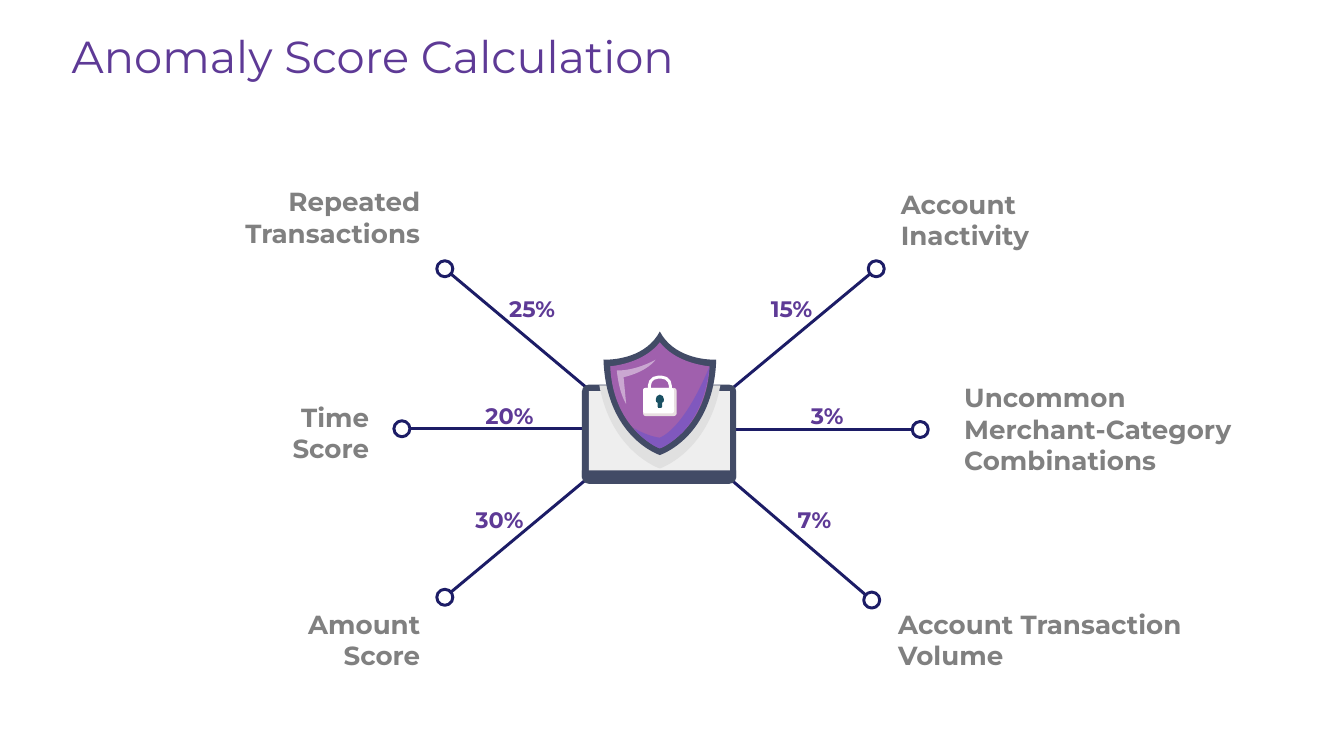
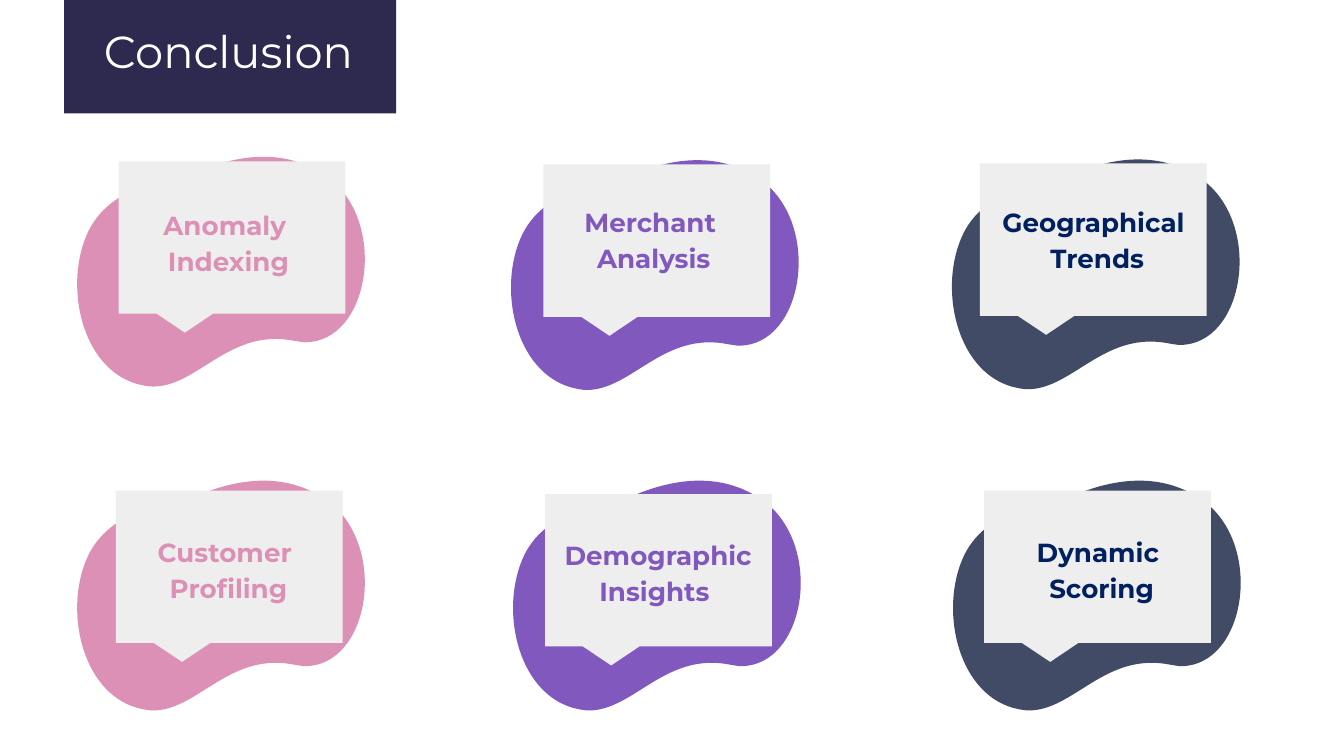
import pptx
import pptx.util
import pptx.dml.color
import pptx.enum.shapes
import pptx.enum.text
import pptx.oxml.ns
import lxml.etree

Pt = pptx.util.Pt
qn = pptx.oxml.ns.qn
SHAPE = pptx.enum.shapes.MSO_SHAPE
ALIGN = pptx.enum.text.PP_ALIGN

FONT = "Montserrat"
PURPLE, VIOLET, PINK, SLATE = "5E3A96", "8058BE", "DD90B6", "424B66"
NAVY, DEEP_BLUE, BAND = "1C1C66", "002060", "2E294E"
GREY, LIGHT, WHITE = "808080", "EEEEEE", "FFFFFF"
LINE_WIDTH = 1.6
NODE_SIZE = 8.6
SHIELD_TIP = (353.5, 177.6)

# Outlines: a start point, then lines (x, y) and curves (two controls and an end).
BLOB = [
    (107.3, 0),
    (85, 0, 64.8, 11.5, 64.8, 11.5),
    (64.8, 11.5, 27.4, 12.2, 13.7, 39.6),
    (0, 67.7, 9.4, 113, 39.6, 121.7),
    (42.5, 122.4, 45.4, 123.1, 48.2, 123.1),
    (69.8, 123.1, 85.7, 97.6, 113.8, 97.6),
    (117.4, 97.6, 120.2, 97.9, 123.8, 98.6),
    (126, 98.9, 128.2, 99.4, 129.6, 99.4),
    (164.2, 99.4, 174.2, 36, 142.6, 11.5),
    (131, 2.9, 118.8, 0, 107.3, 0),
]
# Left halves, from the shield's axis or top edge down to the axis.
SHIELD_SHADOW = [(-32.4, 28.8), (-25.9, 64.8, 0, 73.4, 0, 73.4)]
SHIELD_FRAME = [
    (0, 0),
    (-7.2, 13.7, -23.8, 15.1, -28.8, 15.1),
    (-30.2, 15.1),
    (-28.8, 56.9, 0, 66.2, 0, 66.2),
]
SHIELD_FACE = [
    (0, 5.8),
    (-7.9, 15.8, -20.9, 18, -26.6, 18.7),
    (-25.9, 33.1, -20.9, 45.4, -12.2, 54),
    (-7.2, 59, -2.2, 61.9, 0, 62.6),
]
KEYHOLE = [
    (0, 33.8),
    (-1.4, 33.8, -2.2, 35.3, -2.2, 36.4),
    (-2.2, 37.4, -2, 38.2, -1.2, 38.2),
    (-1.2, 40.3),
    (-1.2, 41, -0.7, 41, 0, 41),
]
SHIELD_SHADE = [
    (26.6, 18.7),
    (26.6, 18.7, 14.4, 50.4, 0, 56.9),
    (0, 56.9, -6.5, 56.2, -13.7, 51.8),
    (-12.2, 54),
    (-7.2, 59, -2.2, 61.9, 0, 62.6),
    (2.2, 61.9, 7.2, 59, 12.2, 54),
    (20.2, 45.4, 25.2, 33.1, 26.6, 18.7),
]
SHIELD_GLOSS = [
    (-2.2, 15.1),
    (-2.2, 15.1, -12.2, 20.9, -22.3, 20.9),
    (-23, 20.9),
    (-23, 20.9, -22.3, 31.7, -18, 38.9),
    (-19.4, 24.5),
    (-19.4, 24.5, -7.9, 22.3, -2.2, 15.1),
]

# Label, its box, alignment, weight, weight position, node centre, hub end.
SPOKES = [
    ("Repeated Transactions", (118.4, 92.2, 113.8, 43.2), ALIGN.RIGHT,
     "25%", (264.2, 150.8), (238.3, 144), (313.9, 207.4)),
    ("Time Score", (134.3, 207.7, 70.6, 43.9), ALIGN.RIGHT,
     "20%", (252, 208.1), (215.3, 229.7), (314.6, 229.7)),
    ("Amount Score", (135.8, 318.6, 96.5, 57.6), ALIGN.RIGHT,
     "30%", (246.7, 263.9), (238.3, 320), (313.9, 257)),
    ("Account Inactivity", (475.5, 93.6, 87.1, 40.3), ALIGN.LEFT,
     "15%", (403.2, 150.8), (469.4, 144), (393.1, 207.4)),
    ("Uncommon Merchant-Category Combinations", (509.4, 197.3, 171.4, 62.6), ALIGN.LEFT,
     "3%", (422.2, 208.1), (493, 230.1), (393.8, 230.1)),
    ("Account Transaction Volume", (474.1, 318.6, 176.4, 60.5), ALIGN.LEFT,
     "7%", (415.4, 263.9), (467, 321.5), (391.3, 256.7)),
]

# Text, blob colour, text colour, blob corner, callout corner, text left, top, width.
CARDS = [
    ("Anomaly \nIndexing", PINK, PINK, (33.8, 84), (63.6, 86.4), (65.5, 106.2, 113.8)),
    ("Merchant \nAnalysis", VIOLET, VIOLET, (266.2, 85.8), (291.1, 88.1), (261.4, 104.4, 177.8)),
    ("Geographical \nTrends", SLATE, DEEP_BLUE, (502.4, 85.4), (525, 87.6), (504.7, 104.4, 166.3)),
    ("Customer \nProfiling", PINK, PINK, (33.8, 257.5), (62.1, 262.8), (40.3, 281.5, 164.2)),
    ("Demographic\nInsights ", VIOLET, VIOLET, (267.3, 257.5), (292, 264.7), (268.4, 283, 168.5)),
    ("Dynamic \nScoring", SLATE, DEEP_BLUE, (503, 257.5), (527.2, 262.8), (514.6, 281.5, 151.2)),
]


def rgb(color):
    return pptx.dml.color.RGBColor.from_string(color)


def paint(shape, fill=None, line=None, width=LINE_WIDTH):
    shape.shadow.inherit = False
    if fill:
        shape.fill.solid()
        shape.fill.fore_color.rgb = rgb(fill)
    else:
        shape.fill.background()
    if line:
        shape.line.color.rgb = rgb(line)
        shape.line.width = Pt(width)
    else:
        shape.line.fill.background()


def add_preset(slide, kind, box, fill=None, line=None, adjustments=()):
    shape = slide.shapes.add_shape(kind, *map(Pt, box))
    for index, value in enumerate(adjustments):
        shape.adjustments[index] = value
    paint(shape, fill, line)
    return shape


def pairs(segment):
    return list(zip(segment[::2], segment[1::2]))


def mirror(outline):
    """Complete a left half with its reflection across x = 0."""
    segments = []
    for before, segment in reversed(list(zip(outline, outline[1:]))):
        points = pairs(segment)[-2::-1] + [before[-2:]]
        segments.append(tuple(n for x, y in points for n in (-x, y)))
    return outline + segments


def add_outline(slide, outline, origin, fill):
    placed = [(Pt(origin[0] + x), Pt(origin[1] + y))
              for segment in outline for x, y in pairs(segment)]
    builder = slide.shapes.build_freeform(*placed[0])
    builder.add_line_segments(placed[1:], close=True)
    shape = builder.convert_to_shape()
    lines = iter(list(shape.element.iter(qn("a:lnTo"))))
    for segment in outline[1:]:
        first = next(lines)
        if len(segment) == 6:
            first.tag = qn("a:cubicBezTo")
            for line in (next(lines), next(lines)):
                first.append(line[0])
                line.getparent().remove(line)
    paint(shape, fill)
    return shape


def set_opacity(shape, percent):
    color = shape.element.spPr.find(qn("a:solidFill"))[0]
    alpha = lxml.etree.SubElement(color, qn("a:alpha"))
    alpha.set("val", str(percent * 1000))


def add_rod(slide, start, end):
    rod = slide.shapes.add_connector(
        pptx.enum.shapes.MSO_CONNECTOR.STRAIGHT, *map(Pt, start + end))
    rod.line.color.rgb = rgb(NAVY)
    rod.line.width = Pt(LINE_WIDTH)
    lxml.etree.SubElement(rod.element.spPr, qn("a:effectLst"))


def write_text(shape, text, size, color, bold=False, align=ALIGN.LEFT,
               inset=7.2, spacing=None):
    frame = shape.text_frame
    frame.word_wrap = True
    frame.auto_size = pptx.enum.text.MSO_AUTO_SIZE.NONE
    frame.vertical_anchor = pptx.enum.text.MSO_ANCHOR.TOP
    frame.margin_left = frame.margin_right = Pt(7.2)
    frame.margin_top = frame.margin_bottom = Pt(inset)
    paragraph = frame.paragraphs[0]
    paragraph.text = text
    paragraph.alignment = align
    paragraph.line_spacing = spacing
    for run in paragraph.runs:
        run.font.name = FONT
        run.font.size = Pt(size)
        run.font.bold = bold
        run.font.color.rgb = rgb(color)


def add_label(slide, box, text, size, color, **style):
    label = slide.shapes.add_textbox(*map(Pt, box))
    write_text(label, text, size, color, bold=True, **style)


def add_titled_slide(presentation, text, box, color):
    slide = presentation.slides.add_slide(presentation.slide_layouts[5])
    title = slide.shapes.title
    title.left, title.top, title.width, title.height = map(Pt, box)
    write_text(title, text, 24, color)
    return slide


def add_laptop(slide):
    add_preset(slide, SHAPE.ROUND_2_SAME_RECTANGLE, (311.8, 206.1, 82.6, 50.2),
               SLATE, adjustments=(0.07, 0))
    add_preset(slide, SHAPE.RECTANGLE, (315.4, 209.5, 75.6, 43.2), LIGHT)
    add_preset(slide, SHAPE.ROUND_2_SAME_RECTANGLE, (311.8, 252, 82.6, 7.2),
               SLATE, adjustments=(0, 0.5))


def add_shield(slide):
    left, top = SHIELD_TIP
    for half, color in ((SHIELD_SHADOW, "E0E0E0"), (SHIELD_FRAME, SLATE),
                        (SHIELD_FACE, "A060AD")):
        add_outline(slide, mirror(half), SHIELD_TIP, color)
    add_outline(slide, SHIELD_SHADE, SHIELD_TIP, VIOLET)
    for width, height, color in ((18, 15.1, "E8DFE1"), (16.6, 13.7, WHITE)):
        add_preset(slide, SHAPE.ROUNDED_RECTANGLE,
                   (left - 9, top + 30.2, width, height), color, adjustments=(0.1,))
    add_preset(slide, SHAPE.ROUND_2_SAME_RECTANGLE, (left - 5.6, top + 24.5, 11.2, 11.5),
               line=WHITE, adjustments=(0.4, 0))
    add_outline(slide, mirror(KEYHOLE), SHIELD_TIP, "1A5163")
    set_opacity(add_outline(slide, SHIELD_GLOSS, SHIELD_TIP, WHITE), 45)


def add_spoke(slide, label, label_box, align, weight, weight_corner, node, hub):
    add_rod(slide, node, hub)
    corner = tuple(center - NODE_SIZE / 2 for center in node)
    add_preset(slide, SHAPE.OVAL, corner + (NODE_SIZE, NODE_SIZE), WHITE, NAVY)
    add_label(slide, label_box, label, 14, GREY, align=align)
    add_label(slide, weight_corner + (41.8, 27.4), weight, 12, PURPLE, align=ALIGN.CENTER)


def add_card(slide, text, blob_color, text_color, blob_corner, callout_corner, text_place):
    add_outline(slide, BLOB, blob_corner, blob_color)
    add_preset(slide, SHAPE.ROUNDED_RECTANGULAR_CALLOUT, callout_corner + (121.5, 81.6),
               LIGHT, adjustments=(-0.208, 0.625, 0))
    add_label(slide, text_place + (44.6,), text, 14, text_color,
              align=ALIGN.CENTER, inset=3.6, spacing=1.15)


def build_score_slide(presentation):
    slide = add_titled_slide(presentation, "Anomaly Score Calculation",
                             (31.2, 8.2, 343.4, 45.4), PURPLE)
    for spoke in SPOKES:
        add_spoke(slide, *spoke)
    add_laptop(slide)
    add_shield(slide)


def build_conclusion_slide(presentation):
    slide = add_titled_slide(presentation, "Conclusion", (48.5, 5.4, 151.2, 41.8), WHITE)
    band = add_preset(slide, SHAPE.RECTANGLE, (34.4, -1.6, 177.8, 62.4), BAND)
    slide.shapes.title.element.addprevious(band.element)
    for card in CARDS:
        add_card(slide, *card)


def main():
    presentation = pptx.Presentation()
    presentation.slide_width, presentation.slide_height = Pt(720), Pt(405)
    build_score_slide(presentation)
    build_conclusion_slide(presentation)
    presentation.save("out.pptx")


if __name__ == "__main__":
    main()
